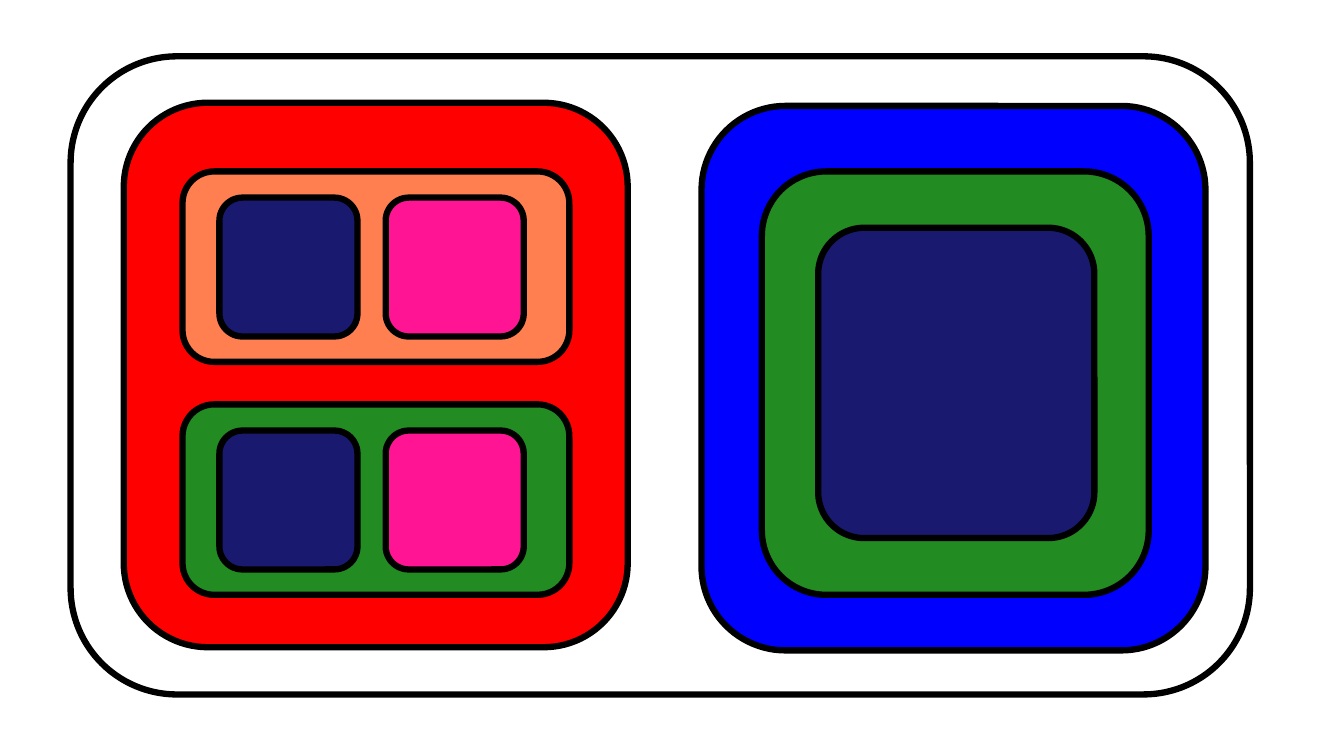
from dataclasses import dataclass

from pptx import Presentation
from pptx.dml.color import RGBColor
from pptx.enum.shapes import MSO_SHAPE
from pptx.util import Cm, Pt


@dataclass(frozen=True)
class Theme:
    line: str = "000000"
    red: str = "FF0000"
    blue: str = "0000FF"
    coral: str = "FF7F50"
    green: str = "228B22"
    navy: str = "191970"
    pink: str = "FF1493"
    width: float = 4.5


THEME = Theme()


def add_box(slide, box, fill=None):
    """Draw an outlined rounded box; box is left, top, width, height in cm."""
    shape = slide.shapes.add_shape(MSO_SHAPE.ROUNDED_RECTANGLE, *map(Cm, box))
    shape.shadow.inherit = False
    if fill:
        shape.fill.solid()
        shape.fill.fore_color.rgb = RGBColor.from_string(fill)
    else:
        shape.fill.background()
    shape.line.color.rgb = RGBColor.from_string(THEME.line)
    shape.line.width = Pt(THEME.width)


def add_row(slide, box, fill):
    """Draw a band that holds a navy and a pink tile."""
    left, top, _, _ = box
    add_box(slide, box, fill)
    for col, tint in enumerate((THEME.navy, THEME.pink)):
        add_box(slide, (left + 0.93 + col * 4.19, top + 0.66, 3.48, 3.5), tint)


def add_red(slide, box):
    left, top, _, _ = box
    add_box(slide, box, THEME.red)
    for row, fill in enumerate((THEME.coral, THEME.green)):
        add_row(slide, (left + 1.48, top + 1.73 + row * 5.87, 9.75, 4.8), fill)


def add_blue(slide, box):
    """Draw the blue panel with a green box and a navy core inside it."""
    left, top, _, _ = box
    add_box(slide, box, THEME.blue)
    add_box(slide, (left + 1.52, top + 1.65, 9.75, 10.67), THEME.green)
    add_box(slide, (left + 2.94, top + 3.07, 6.96, 7.82), THEME.navy)


def add_frame(slide, box):
    """Draw the outer frame and its two panels."""
    left, top, _, _ = box
    add_box(slide, box)
    add_red(slide, (left + 1.34, top + 1.17, 12.7, 13.72))
    add_blue(slide, (left + 15.9, top + 1.25, 12.7, 13.72))


def main():
    deck = Presentation()
    deck.slide_width, deck.slide_height = Cm(33.87), Cm(19.05)
    slide = deck.slides.add_slide(deck.slide_layouts[6])
    add_frame(slide, (1.78, 1.42, 29.72, 16.08))
    deck.save("out.pptx")


if __name__ == "__main__":
    main()
